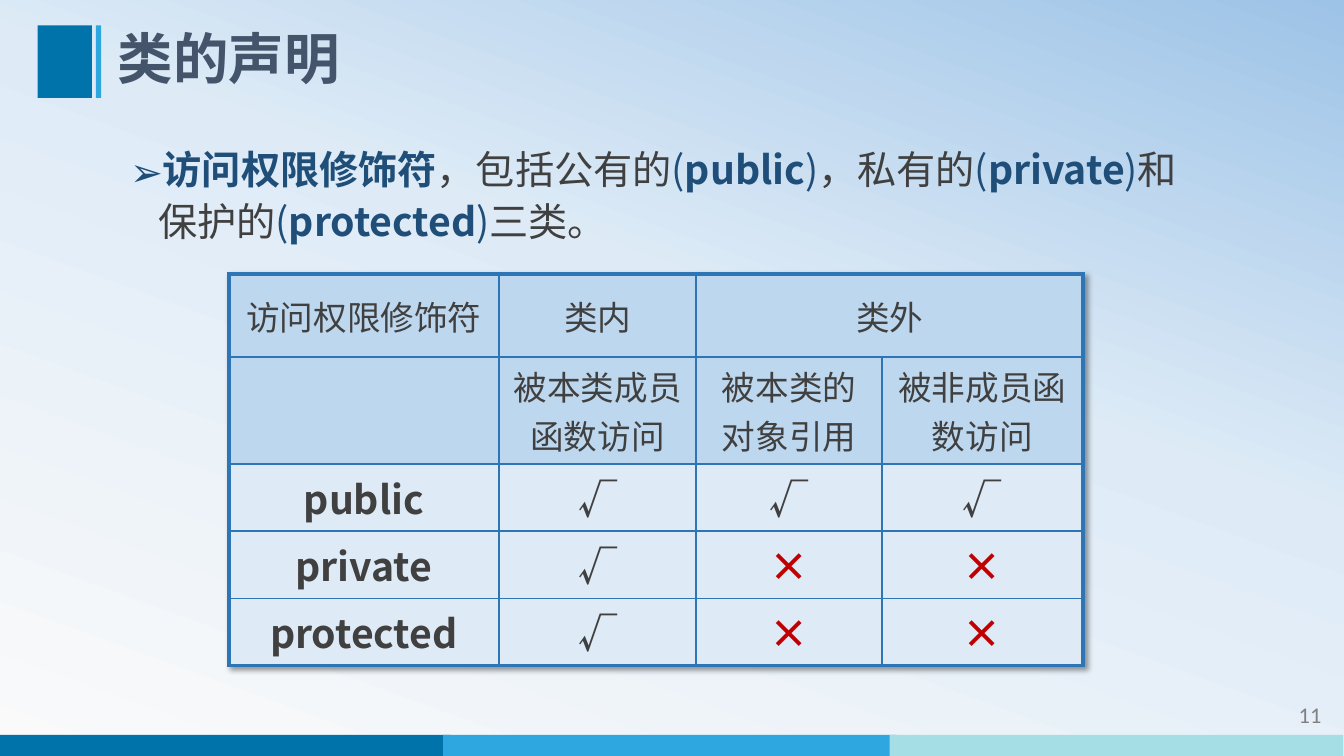
from lxml import etree
from pptx import Presentation
from pptx.dml.color import RGBColor
from pptx.enum.shapes import MSO_SHAPE
from pptx.enum.text import MSO_ANCHOR as Anchor, PP_ALIGN as Align
from pptx.oxml import parse_xml
from pptx.oxml.ns import qn
from pptx.util import Cm, Pt

COLORS = {
    "deep_blue": "0073AB", "sky": "2EA7E0", "aqua": "A5DEE4",
    "title": "44546A", "text": "404040", "navy": "1F4E79",
    "number": "808080", "border": "2E75B6", "head": "BDD7EE",
    "body": "DEEBF7", "cross": "C00000",
}
BACKGROUND = [(0, "FAFAFA"), (58, "DEEBF7"), (100, "9DC3E6")]
NAMESPACE = 'xmlns:a="http://schemas.openxmlformats.org/drawingml/2006/main"'
CJK = "Noto Sans CJK SC"


def add_run(paragraph, text, size, color, bold=False, font=CJK):
    run = paragraph.add_run()
    run.text = text
    run.font.size = Pt(size)
    run.font.bold = bold
    run.font.name = font
    run.font.color.rgb = RGBColor.from_string(COLORS[color])
    east_asian = etree.SubElement(run.font._element, qn("a:ea"))
    east_asian.set("typeface", font)


def add_text_box(left, top, width, height, anchor):
    frame = slide.shapes.add_textbox(Cm(left), Cm(top), Cm(width), Cm(height)).text_frame
    frame.word_wrap = True
    frame.vertical_anchor = anchor
    return frame.paragraphs[0]


presentation = Presentation()
presentation.slide_width = Cm(33.87)
presentation.slide_height = Cm(19.05)
slide = presentation.slides.add_slide(presentation.slide_layouts[6])

fill = slide.background.fill
fill.gradient()
fill.gradient_angle = 70
stops = fill._fill._gradFill.find(qn("a:gsLst"))
for stop in list(stops):
    stops.remove(stop)
for position, color in BACKGROUND:
    stops.append(parse_xml(
        f'<a:gs {NAMESPACE} pos="{position * 1000}"><a:srgbClr val="{color}"/></a:gs>'))

bars = [(-0.08 + 11.25 * index, 18.52, 11.43, 0.53, color)
        for index, color in enumerate(["deep_blue", "sky", "aqua"])]
bars += [(0.95, 0.64, 1.37, 1.83, "deep_blue"), (2.42, 0.64, 0.13, 1.83, "sky")]
for left, top, width, height, color in bars:
    shape = slide.shapes.add_shape(
        MSO_SHAPE.RECTANGLE, Cm(left), Cm(top), Cm(width), Cm(height))
    shape.shadow.inherit = False
    shape.fill.solid()
    shape.fill.fore_color.rgb = RGBColor.from_string(COLORS[color])
    shape.line.fill.background()

paragraph = add_text_box(29.51, 17.5, 4.04, 1.02, Anchor.MIDDLE)
paragraph.alignment = Align.RIGHT
add_run(paragraph, "11", 16, "number", font="Calibri")

paragraph = add_text_box(2.72, 0.64, 27.58, 1.83, Anchor.MIDDLE)
paragraph.line_spacing = 0.9
add_run(paragraph, "类的声明", 39.6, "title", bold=True)

paragraph = add_text_box(2.72, 3.43, 27.58, 2.9, Anchor.TOP)
paragraph.line_spacing = 1.1
paragraph.space_before = Pt(2.8)
properties = paragraph._p.get_or_add_pPr()
properties.set("marL", str(Cm(1.02)))
properties.set("indent", str(Cm(-0.71)))
for markup in (f'<a:buClr {NAMESPACE}><a:srgbClr val="{COLORS["navy"]}"/></a:buClr>',
               f'<a:buFont {NAMESPACE} typeface="{CJK}"/>',
               f'<a:buChar {NAMESPACE} char="➢"/>'):
    properties.append(parse_xml(markup))
add_run(paragraph, "访问权限修饰符", 28, "navy", bold=True)
for words, keyword in [("，包括公有的", "public"), ("，私有的", "private"),
                       ("和保护的", "protected")]:
    add_run(paragraph, words, 28, "text")
    add_run(paragraph, "(", 28, "navy")
    add_run(paragraph, keyword, 28, "navy", bold=True)
    add_run(paragraph, ")", 28, "navy")
add_run(paragraph, "三类。", 28, "text")

rows = [
    ["访问权限修饰符", "类内", "类外", ""],
    ["", "被本类成员函数访问", "被本类的对象引用", "被非成员函数访问"],
    ["public", "√", "√", "√"],
    ["private", "√", "×", "×"],
    ["protected", "√", "×", "×"],
]
column_widths = [6.8, 4.98, 4.67, 5.07]
row_heights = [2.08, 2.71, 1.69, 1.69, 1.69]
table = slide.shapes.add_table(
    len(rows), len(column_widths), Cm(5.77), Cm(6.91),
    Cm(sum(column_widths)), Cm(sum(row_heights))).table
table.first_row = False
table.horz_banding = False
table._tbl.tblPr.insert(0, parse_xml(
    f'<a:effectLst {NAMESPACE}><a:outerShdw blurRad="50800" dist="38100" dir="2700000" '
    'algn="tl" rotWithShape="0"><a:srgbClr val="000000"><a:alpha val="40000"/></a:srgbClr>'
    '</a:outerShdw></a:effectLst>'))
for column, width in zip(table.columns, column_widths):
    column.width = Cm(width)
for row, height in zip(table.rows, row_heights):
    row.height = Cm(height)
table.cell(0, 2).merge(table.cell(0, 3))

for row_index, row in enumerate(rows):
    is_head = row_index < 2
    for column_index, text in enumerate(row):
        cell = table.cell(row_index, column_index)
        outer_edges = {
            "L": column_index == 0,
            "R": column_index == len(row) - 1 or cell.is_merge_origin,
            "T": row_index == 0,
            "B": row_index == len(rows) - 1,
        }
        for side, is_outer in outer_edges.items():
            cell._tc.get_or_add_tcPr().append(parse_xml(
                f'<a:ln{side} {NAMESPACE} w="{Pt(3 if is_outer else 1.5)}"><a:solidFill>'
                f'<a:srgbClr val="{COLORS["border"]}"/></a:solidFill></a:ln{side}>'))
        cell.fill.solid()
        cell.fill.fore_color.rgb = RGBColor.from_string(COLORS["head" if is_head else "body"])
        cell.vertical_anchor = Anchor.MIDDLE if row_index == 0 else Anchor.TOP
        paragraph = cell.text_frame.paragraphs[0]
        paragraph.alignment = Align.CENTER
        if text:
            add_run(paragraph, text, 24 if is_head else 28,
                    "cross" if text == "×" else "text", bold=not is_head)

presentation.save("out.pptx")
